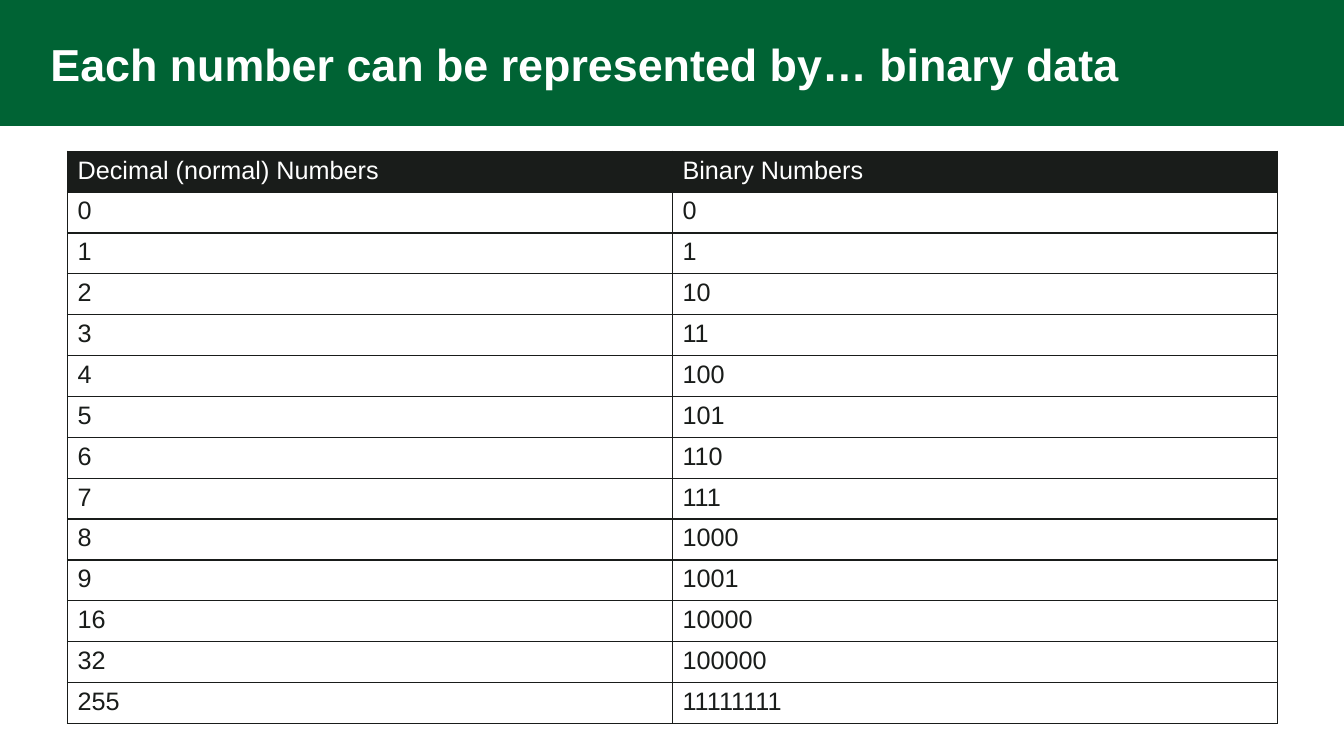
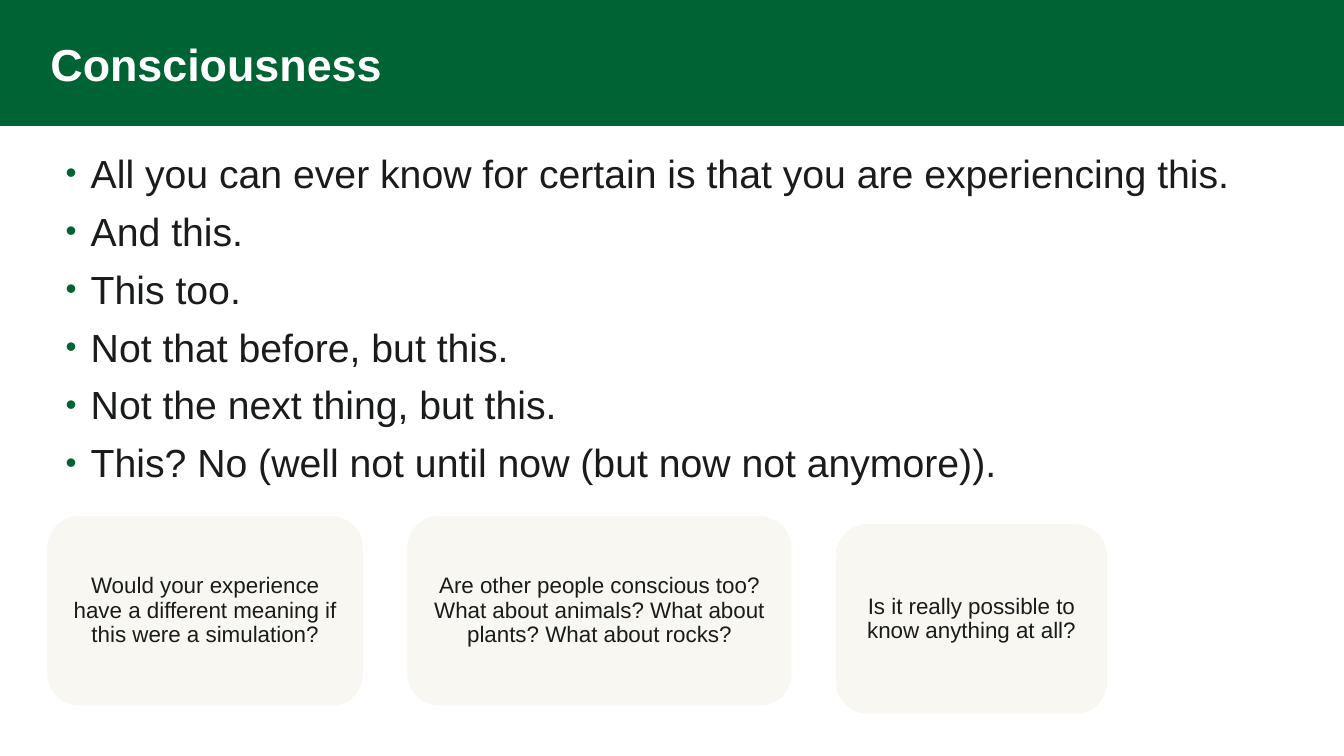
"""Build two slides: a binary number table and a list with question cards."""
import pptx
import pptx.dml.color
import pptx.enum.shapes
import pptx.enum.text
import pptx.oxml
import pptx.util

COLOURS = {"green": "006334", "ink": "191C1A", "white": "FFFFFF", "card": "F8F7F2"}
FONT = "Arial"
WIDTH, HEIGHT = 13.33, 7.5
NAMESPACE = 'xmlns:a="http://schemas.openxmlformats.org/drawingml/2006/main"'
ALIGN = pptx.enum.text.PP_ALIGN
ANCHOR = pptx.enum.text.MSO_ANCHOR

NUMBER_TITLE = "Each number can be represented by… binary data"
NUMBER_HEADINGS = ("Decimal (normal) Numbers", "Binary Numbers")
NUMBERS = [*range(10), 16, 32, 255]
TABLE_LEFT, TABLE_TOP, COLUMN_WIDTH, ROW_HEIGHT = 0.67, 1.5, 6, 5.68 / 14

MIND_TITLE = "Consciousness"
MIND_POINTS = [
    "All you can ever know for certain is that you are experiencing this.",
    "And this.",
    "This too.",
    "Not that before, but this.",
    "Not the next thing, but this.",
    "This? No (well not until now (but now not anymore)).",
]
CARDS = [
    ("Would your experience have a different meaning if this were a simulation?", 3.13, 5.12),
    ("Are other people conscious too? What about animals? What about plants? What about rocks?", 3.81, 5.12),
    ("Is it really possible to know anything at all?", 2.69, 5.2),
]
CARD_LEFT, CARD_GAP, CARD_HEIGHT = 0.47, 0.44, 1.88


def inches(*lengths):
    return [pptx.util.Inches(length) for length in lengths]


def paint(fill, colour):
    fill.solid()
    fill.fore_color.rgb = pptx.dml.color.RGBColor.from_string(COLOURS[colour])


def add_bullet(para):
    properties = para._p.get_or_add_pPr()
    properties.set("marL", str(pptx.util.Inches(0.38)))
    properties.set("indent", str(pptx.util.Inches(-0.25)))
    for markup in (
        f'<a:buClr {NAMESPACE}><a:srgbClr val="{COLOURS["green"]}"/></a:buClr>',
        f'<a:buSzPct {NAMESPACE} val="80000"/>',
        f'<a:buFont {NAMESPACE} typeface="{FONT}"/>',
        f'<a:buChar {NAMESPACE} char="•"/>',
    ):
        properties.append(pptx.oxml.parse_xml(markup))


def write(frame, text, *, size, colour="ink", bold=False, align=ALIGN.LEFT,
          spacing=1.0, after=0, bullet=False):
    """Write one paragraph for each line of text."""
    for index, line in enumerate(text.split("\n")):
        para = frame.add_paragraph() if index else frame.paragraphs[0]
        if bullet:
            add_bullet(para)
        para.alignment = align
        para.line_spacing = spacing
        para.space_before = pptx.util.Pt(0)
        para.space_after = pptx.util.Pt(after)
        span = para.add_run()
        span.text = line
        span.font.name = FONT
        span.font.size = pptx.util.Pt(size)
        span.font.bold = bold
        paint(span.font.fill, colour)


def place(shape, left, top, width, height):
    shape.left, shape.top, shape.width, shape.height = inches(left, top, width, height)


def set_frame(frame, anchor, margins=(0.1, 0.1, 0.1, 0.1)):
    frame.word_wrap = True
    frame.auto_size = pptx.enum.text.MSO_AUTO_SIZE.NONE
    frame.vertical_anchor = anchor
    (frame.margin_left, frame.margin_top,
     frame.margin_right, frame.margin_bottom) = inches(*margins)


def add_page(deck, layout, title):
    page = deck.slides.add_slide(deck.slide_layouts.get_by_name(layout))
    paint(page.background.fill, "white")
    band = page.shapes.title
    place(band, 0, 0, WIDTH, HEIGHT / 6)
    paint(band.fill, "green")
    set_frame(band.text_frame, ANCHOR.MIDDLE, (0.5, 0.1, 0.1, 0))
    write(band.text_frame, title, size=32, colour="white", bold=True, spacing=0.85)
    return page


def add_borders(cell):
    properties = cell._tc.get_or_add_tcPr()
    for side in ("lnL", "lnR", "lnT", "lnB"):
        properties.append(pptx.oxml.parse_xml(
            f'<a:{side} {NAMESPACE} w="12700"><a:solidFill>'
            f'<a:srgbClr val="{COLOURS["ink"]}"/></a:solidFill></a:{side}>'))


def add_number_table(page):
    rows = [NUMBER_HEADINGS, *((str(number), f"{number:b}") for number in NUMBERS)]
    columns = len(NUMBER_HEADINGS)
    table = page.shapes.add_table(len(rows), columns, *inches(
        TABLE_LEFT, TABLE_TOP, COLUMN_WIDTH * columns, ROW_HEIGHT * len(rows))).table
    table.first_row = True
    table.horz_banding = False
    for row_index, row in enumerate(rows):
        for column_index, text in enumerate(row):
            cell = table.cell(row_index, column_index)
            add_borders(cell)
            if row_index:
                cell.fill.background()
            else:
                paint(cell.fill, "ink")
            write(cell.text_frame, text, size=18, colour="ink" if row_index else "white")


def add_points(page):
    body = page.placeholders[1]
    place(body, 0.42, 1.36, 12.5, 3.39)
    set_frame(body.text_frame, ANCHOR.TOP)
    write(body.text_frame, "\n".join(MIND_POINTS), size=28, spacing=1.05, after=6, bullet=True)


def add_cards(page):
    left = CARD_LEFT
    for text, width, top in CARDS:
        card = page.shapes.add_shape(
            pptx.enum.shapes.MSO_SHAPE.ROUNDED_RECTANGLE,
            *inches(left, top, width, CARD_HEIGHT))
        card.shadow.inherit = False
        card.line.fill.background()
        paint(card.fill, "card")
        set_frame(card.text_frame, ANCHOR.MIDDLE)
        write(card.text_frame, text, size=16, align=ALIGN.CENTER, spacing=0.9)
        left += width + CARD_GAP


def main():
    deck = pptx.Presentation()
    deck.slide_width, deck.slide_height = inches(WIDTH, HEIGHT)
    add_number_table(add_page(deck, "Title Only", NUMBER_TITLE))
    mind_page = add_page(deck, "Title and Content", MIND_TITLE)
    add_points(mind_page)
    add_cards(mind_page)
    deck.save("out.pptx")


if __name__ == "__main__":
    main()
